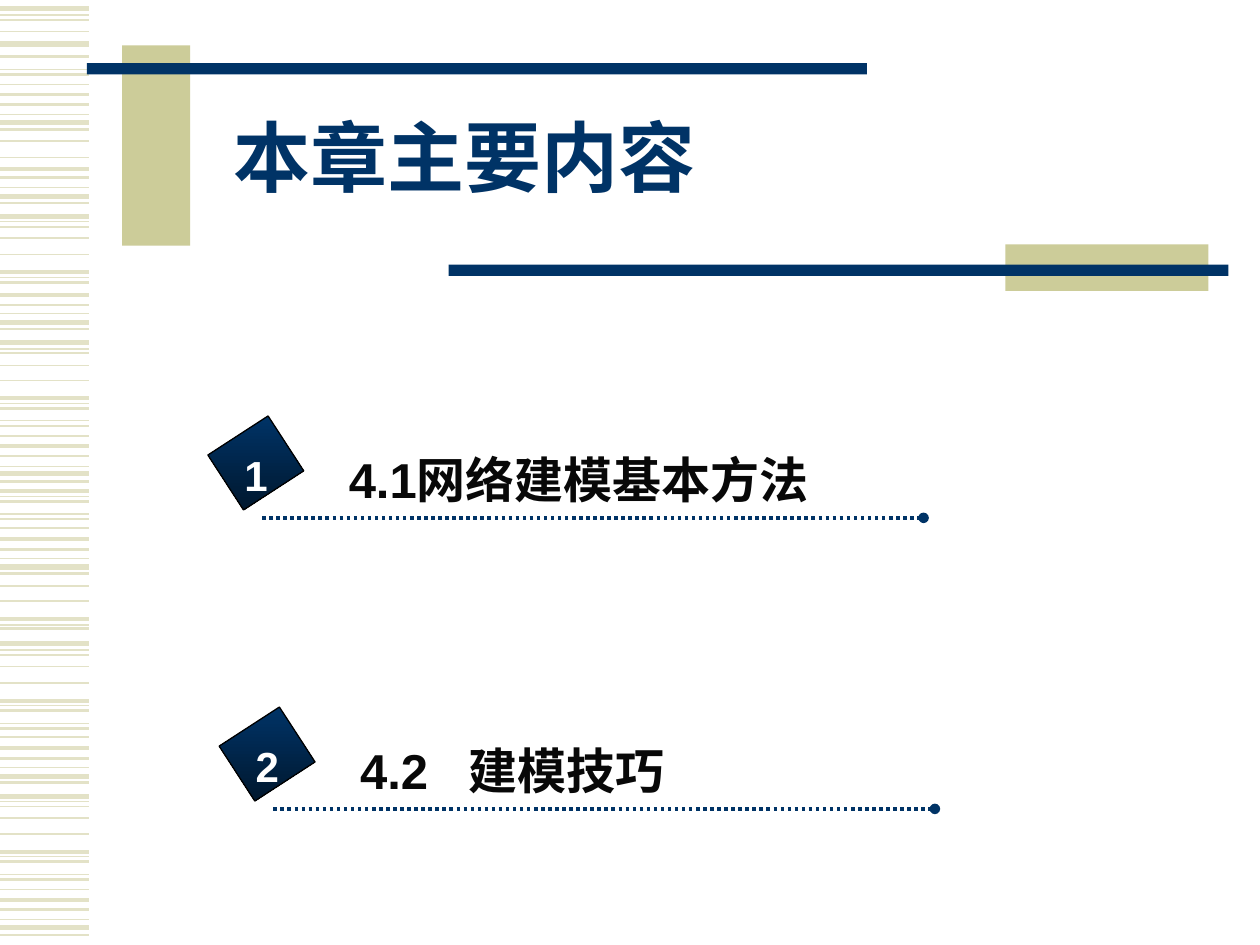
from lxml import etree
from pptx import Presentation
from pptx.dml.color import RGBColor
from pptx.enum.dml import MSO_LINE
from pptx.enum.shapes import MSO_CONNECTOR, MSO_SHAPE
from pptx.enum.text import MSO_ANCHOR, PP_ALIGN
from pptx.oxml.ns import qn
from pptx.util import Inches, Pt

RECT = MSO_SHAPE.RECTANGLE
STRAIGHT = MSO_CONNECTOR.STRAIGHT
DOTS = MSO_LINE.ROUND_DOT
LEFT, CENTER = PP_ALIGN.LEFT, PP_ALIGN.CENTER
TOP, MIDDLE = MSO_ANCHOR.TOP, MSO_ANCHOR.MIDDLE

NAVY = RGBColor(0x00, 0x33, 0x66)
DARK = RGBColor(0x00, 0x18, 0x2F)
KHAKI = RGBColor(0xCC, 0xCC, 0x99)
PALE = RGBColor(0xE3, 0xE2, 0xC7)
INK = RGBColor(0x08, 0x08, 0x08)
BLACK = RGBColor(0x00, 0x00, 0x00)
WHITE = RGBColor(0xFF, 0xFF, 0xFF)
LATIN, HAN = "Arial", "Noto Sans CJK SC"

deck = Presentation()
deck.slide_width, deck.slide_height = Inches(10), Inches(7.5)
slide = deck.slides.add_slide(deck.slide_layouts[6])
shapes = slide.shapes

# Grid: 100 columns by 75 rows
COL = deck.slide_width / 100
ROW = deck.slide_height / 75


def add_text(text, x, y, w, h, size=28, color=INK, font=LATIN, align=LEFT,
             anchor=TOP, wrap=True, pad=1, space=None, tab=None):
    box = shapes.add_textbox(int(x * COL), int(y * ROW), int(w * COL), int(h * ROW))
    frame = box.text_frame
    frame.word_wrap, frame.vertical_anchor = wrap, anchor
    frame.margin_left = frame.margin_right = int(pad * COL)
    para = frame.paragraphs[0]
    para.alignment, para.line_spacing = align, space
    if tab:
        stops = etree.SubElement(para._p.get_or_add_pPr(), qn("a:tabLst"))
        etree.SubElement(stops, qn("a:tab"), pos=str(int(tab * COL)), algn="l")
    run = para.add_run()
    run.text = text
    run.font.size, run.font.bold, run.font.name = Pt(size), True, font
    run.font.color.rgb = color
    etree.SubElement(run._r.get_or_add_rPr(), qn("a:ea"), typeface=HAN)


def add_line(x, y, end, color, width):
    line = shapes.add_connector(STRAIGHT, int(x * COL), int(y * ROW),
                                int(end * COL), int(y * ROW))
    line.line.color.rgb, line.line.width = color, Pt(width)
    etree.SubElement(line._element.spPr, qn("a:effectLst"))
    return line


# Striped left edge: rows by line width
STRIPES = {
    0.75: [1.2, 5.5, 9.1, 14.9, 17.6, 22, 24.9, 27.7, 32, 33.4, 37, 39.4, 40.8,
           44.3, 49.6, 51.6, 56, 57.4, 60.9, 63.6, 68, 69.4, 73],
    1: [1.6, 2.5, 6.7, 11.2, 12.5, 18, 18.9, 20.2, 28, 29, 30.2, 34.6, 41.9,
        46.5, 47.7, 52, 52.9, 54.2, 58.5, 64, 64.9, 66.2, 70.6],
    1.5: [4.5, 5.9, 8.3, 10.3, 14.1, 16.1, 22.4, 24.2, 26.1, 32.4, 33.8, 36.2,
          38.2, 39.8, 41.2, 43.6, 45.5, 49.9, 56.4, 57.8, 60.2, 62.1, 68.4,
          69.8, 72.2, 74.2],
    2.25: [7.5, 13.4, 21.6, 23.4, 31.6, 35.4, 39, 42.8, 49.1, 55.6, 59.4, 67.6,
           71.4],
    3: [0.7, 3.5, 9.7, 15.6, 17.2, 25.6, 27.2, 37.6, 45, 51.1, 61.6, 63.2, 73.6],
}
for width, rows in STRIPES.items():
    for row in rows:
        add_line(0, row, 7.1, PALE, width)

# Blocks and bars around the title
for x, y, w, h, color in [(9.7, 3.6, 5.4, 15.9, KHAKI), (6.9, 5, 61.9, 0.9, NAVY),
                          (79.8, 19.4, 16.1, 3.7, KHAKI), (35.6, 21, 61.9, 0.9, NAVY)]:
    bar = shapes.add_shape(RECT, int(x * COL), int(y * ROW), int(w * COL), int(h * ROW))
    bar.shadow.inherit = False
    bar.fill.solid()
    bar.fill.fore_color.rgb = color
    bar.line.fill.background()

# Title
add_text("本章主要内容", 18.5, 6.7, 75.5, 12.5, size=44, color=NAVY, font=HAN,
         anchor=MIDDLE, pad=0, space=0.85)

# Chapter entries: numbered tile, heading and dotted rule
ITEMS = [("4.1网络建模基本方法", 17.7, 33.9, None),
         ("4.2\t建模技巧", 18.6, 57, 8.6)]
for num, (head, x, y, tab) in enumerate(ITEMS, 1):
    rule = add_line(x + 3.1, y + 7.2, x + 55.6, NAVY, 2)
    rule.line.dash_style = DOTS
    etree.SubElement(rule.line._get_or_add_ln(), qn("a:tailEnd"), type="oval")

    tile = shapes.add_shape(RECT, int(x * COL), int(y * ROW), int(5.2 * COL), int(5.7 * ROW))
    tile.rotation = 57
    tile.shadow.inherit = False
    tile.fill.gradient()
    tile.fill.gradient_angle = 327
    for stop, color in zip(tile.fill.gradient_stops, (NAVY, DARK)):
        stop.color.rgb = color
    tile.line.color.rgb, tile.line.width = BLACK, Pt(0.75)

    add_text(str(num), x + 0.7, y + 1.3, 3.8, 5, size=24, color=WHITE,
             align=CENTER, wrap=False)
    add_text(head, x + 9, y + 1.3, 52, 5.7, tab=tab)

deck.save("out.pptx")
